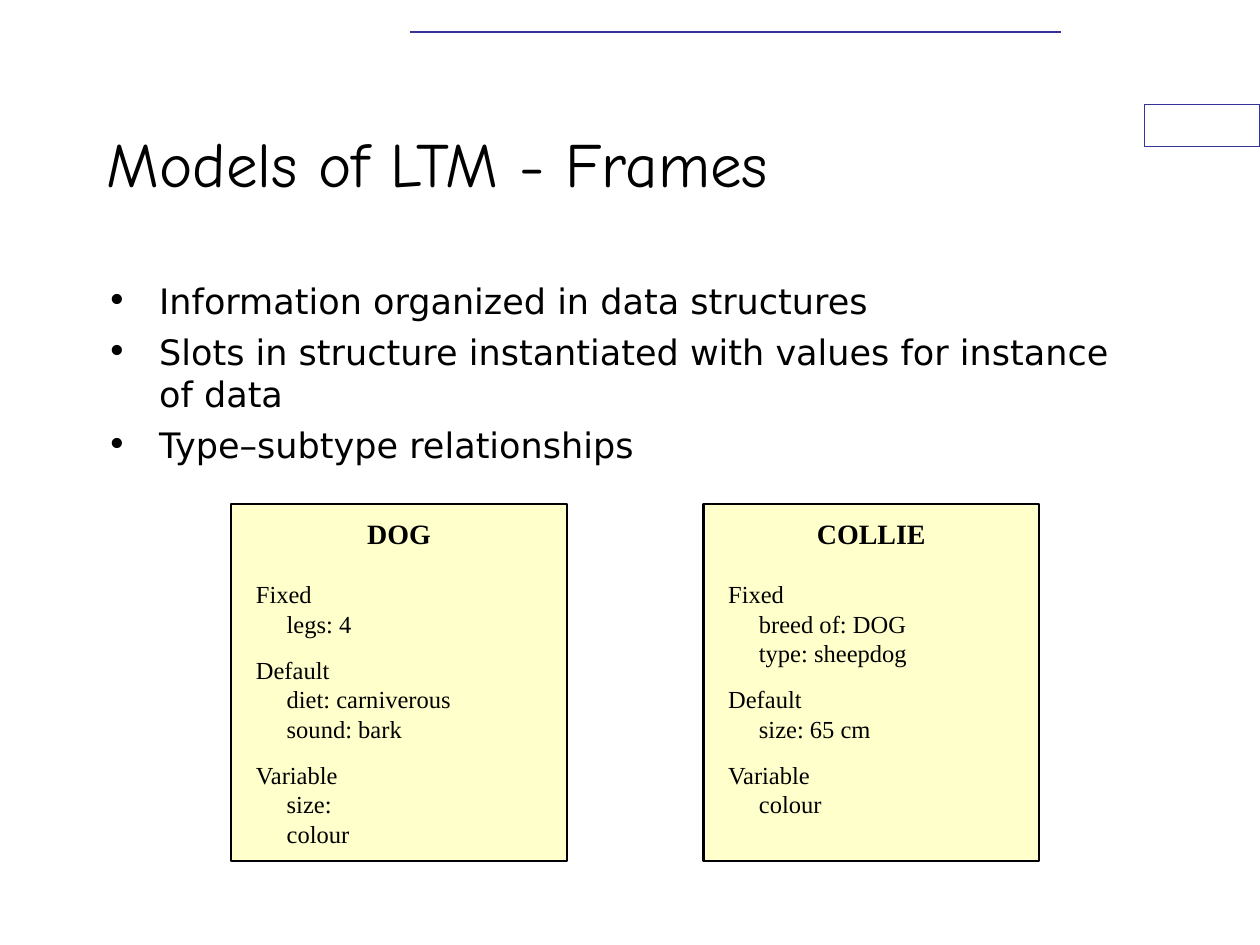
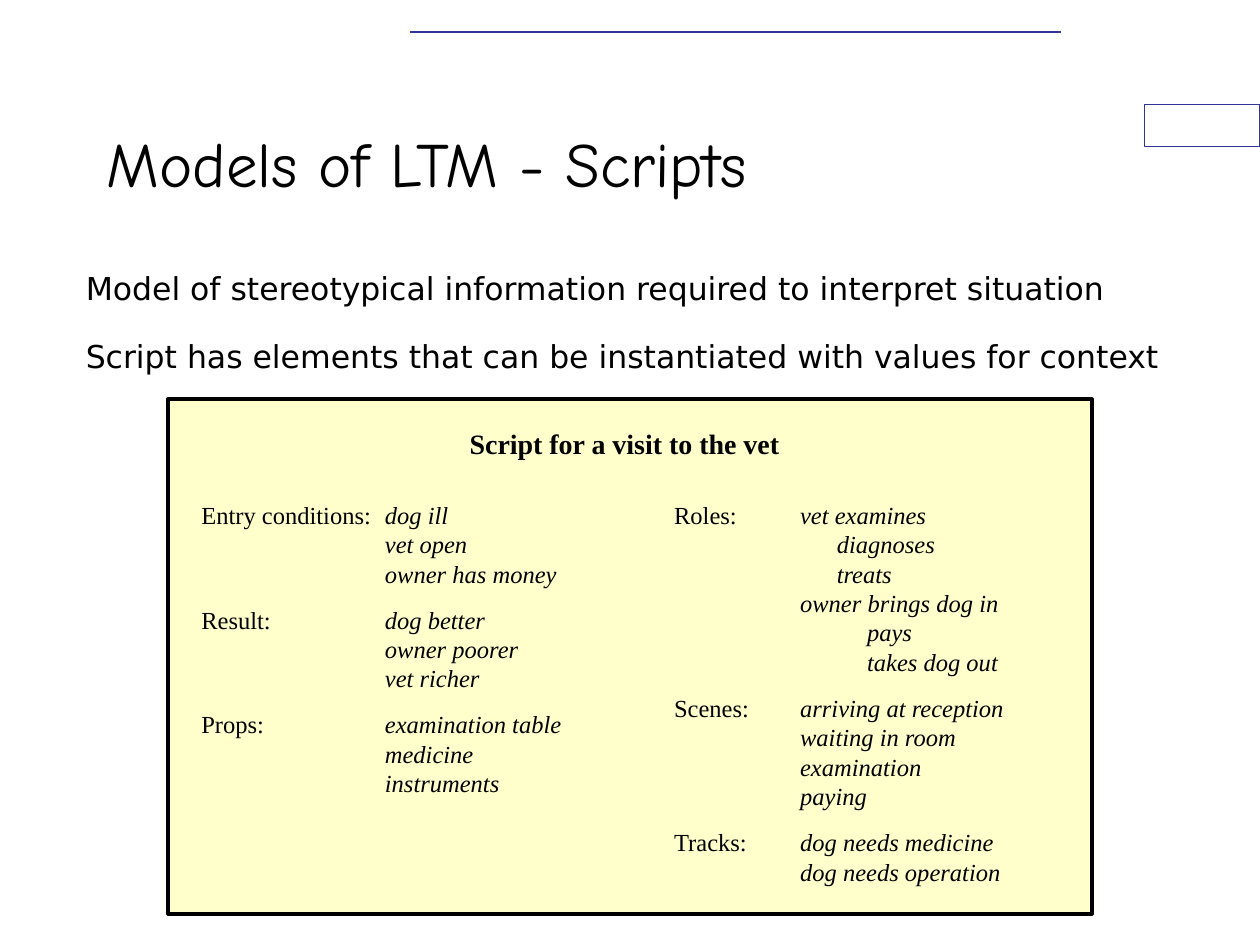
from dataclasses import dataclass

from lxml.etree import SubElement
from pptx import Presentation
from pptx.dml.color import RGBColor
from pptx.enum.shapes import MSO_CONNECTOR, MSO_SHAPE
from pptx.enum.text import MSO_ANCHOR, PP_ALIGN
from pptx.oxml.ns import qn
from pptx.shapes.autoshape import Shape
from pptx.slide import Slide
from pptx.util import Cm, Pt


@dataclass(frozen=True)
class Theme:
    ink: RGBColor = RGBColor(0, 0, 0)
    paper: RGBColor = RGBColor(255, 255, 255)
    accent: RGBColor = RGBColor(0x33, 0x33, 0x99)
    cream: RGBColor = RGBColor(0xFF, 0xFF, 0xCC)
    title_font: str = "Comic Neue"
    body_font: str = "DejaVu Sans"
    panel_font: str = "Times New Roman"
    title_size: float = 36
    bullet_size: float = 20
    statement_size: float = 18
    heading_size: float = 16
    detail_size: float = 14
    detail_pitch: float = 16.8
    group_gap: float = 9.5


THEME = Theme()


@dataclass(frozen=True)
class Area:
    left: float
    top: float
    width: float
    height: float

    def lengths(self) -> tuple[Cm, Cm, Cm, Cm]:
        return Cm(self.left), Cm(self.top), Cm(self.width), Cm(self.height)


@dataclass(frozen=True)
class Line:
    text: str
    size: float = THEME.detail_size
    font: str = THEME.panel_font
    indent: float = 0
    hanging: float = 0
    before: float = 0
    bold: bool = False
    italic: bool = False
    centered: bool = False
    bullet: str = ""


@dataclass(frozen=True)
class Group:
    label: str
    entries: tuple[str, ...]


@dataclass(frozen=True)
class FrameCard:
    left: float
    heading: str
    groups: tuple[Group, ...]


@dataclass(frozen=True)
class ScriptColumn:
    area: Area
    entry_indent: float
    groups: tuple[Group, ...]


TITLE_AREA = Area(1.9, 1.69, 19.05, 3.18)
CORNER_AREA = Area(23.07, 2.11, 2.33, 0.85)
CARD_TOP, CARD_WIDTH, CARD_HEIGHT = 10.16, 6.77, 7.2
LABEL_INDENT, SLOT_INDENT = 0.25, 0.87
HANGING = 1.06

BULLETS = (
    "Information organized in data structures",
    "Slots in structure instantiated with values for instance of data",
    "Type–subtype relationships",
)
CARDS = (
    FrameCard(4.66, "DOG", (
        Group("Fixed", ("legs: 4",)),
        Group("Default", ("diet: carniverous", "sound: bark")),
        Group("Variable", ("size:", "colour")),
    )),
    FrameCard(14.18, "COLLIE", (
        Group("Fixed", ("breed of: DOG", "type: sheepdog")),
        Group("Default", ("size: 65 cm",)),
        Group("Variable", ("colour",)),
    )),
)
STATEMENTS = (
    ("Model of stereotypical information required to interpret situation", 4.5),
    ("Script has elements that can be instantiated with values for context", 17.5),
)
COLUMNS = (
    ScriptColumn(Area(3.81, 9.95, 8.26, 6.27), 3.7, (
        Group("Entry conditions:", ("dog ill", "vet open", "owner has money")),
        Group("Result:", ("dog better", "owner poorer", "vet richer")),
        Group("Props:", ("examination table", "medicine", "instruments")),
    )),
    ScriptColumn(Area(13.34, 9.95, 7.16, 8.05), 2.54, (
        Group("Roles:", ("vet examines", "diagnoses", "treats",
                         "owner brings dog in", "pays", "takes dog out")),
        Group("Scenes:", ("arriving at reception", "waiting in room",
                          "examination", "paying")),
        Group("Tracks:", ("dog needs medicine", "dog needs operation")),
    )),
)
ACTION_INDENTS = {"diagnoses": 0.74, "treats": 0.74, "pays": 1.35, "takes dog out": 1.35}


def write(shape: Shape, lines: list[Line], anchor: MSO_ANCHOR = MSO_ANCHOR.TOP) -> None:
    frame = shape.text_frame
    frame.word_wrap = True
    frame.vertical_anchor = anchor
    for number, line in enumerate(lines):
        paragraph = frame.paragraphs[0] if number == 0 else frame.add_paragraph()
        paragraph.text = line.text
        paragraph.alignment = PP_ALIGN.CENTER if line.centered else PP_ALIGN.LEFT
        paragraph.space_before = Pt(line.before)
        for run in paragraph.runs:
            run.font.name = line.font
            run.font.size = Pt(line.size)
            run.font.color.rgb = THEME.ink
            run.font.bold = line.bold
            run.font.italic = line.italic
        properties = paragraph._p.get_or_add_pPr()
        properties.set("marL", str(Cm(line.indent)))
        properties.set("indent", str(Cm(-line.hanging)))
        if line.bullet:
            SubElement(properties, qn("a:buFont"), typeface=line.font)
            SubElement(properties, qn("a:buChar"), char=line.bullet)


def add_panel(slide: Slide, area: Area, fill: RGBColor = THEME.cream,
              border: RGBColor = THEME.ink, weight: float = 0) -> Shape:
    panel = slide.shapes.add_shape(MSO_SHAPE.RECTANGLE, *area.lengths())
    panel.shadow.inherit = False
    panel.fill.solid()
    panel.fill.fore_color.rgb = fill
    if weight:
        panel.line.color.rgb = border
        panel.line.width = Pt(weight)
    else:
        panel.line.fill.background()
    return panel


def add_text(slide: Slide, area: Area, lines: list[Line],
             anchor: MSO_ANCHOR = MSO_ANCHOR.TOP) -> None:
    write(slide.shapes.add_textbox(*area.lengths()), lines, anchor)


def add_titled_slide(deck: Presentation, title: str) -> Slide:
    slide = deck.slides.add_slide(deck.slide_layouts[6])
    add_panel(slide, CORNER_AREA, THEME.paper, THEME.accent, 0.75)
    top_rule = slide.shapes.add_connector(
        MSO_CONNECTOR.STRAIGHT, Cm(8.26), Cm(0.64), Cm(21.38), Cm(0.64))
    top_rule.line.color.rgb = THEME.accent
    top_rule.line.width = Pt(1)
    SubElement(top_rule._element.spPr, qn("a:effectLst"))
    add_text(slide, TITLE_AREA, [Line(title, THEME.title_size, THEME.title_font)],
             MSO_ANCHOR.MIDDLE)
    return slide


def add_card(slide: Slide, card: FrameCard) -> None:
    lines = [Line(card.heading, THEME.heading_size, bold=True, centered=True)]
    for number, group in enumerate(card.groups):
        gap = THEME.group_gap if number else THEME.detail_pitch
        lines.append(Line(group.label, indent=LABEL_INDENT, before=gap))
        lines += [Line(slot, indent=SLOT_INDENT) for slot in group.entries]
    panel = add_panel(slide, Area(card.left, CARD_TOP, CARD_WIDTH, CARD_HEIGHT), weight=1.5)
    panel.text_frame.margin_top = Cm(0.25)
    write(panel, lines)


def add_column(slide: Slide, column: ScriptColumn) -> None:
    labels, entries = [], []
    gap = label_gap = 0
    for group in column.groups:
        labels.append(Line(group.label, before=label_gap))
        for number, entry in enumerate(group.entries):
            entries.append(Line(
                entry, indent=column.entry_indent + ACTION_INDENTS.get(entry, 0),
                before=0 if number else gap, italic=True))
        gap = THEME.group_gap
        label_gap = gap + (len(group.entries) - 1) * THEME.detail_pitch
    area = column.area
    write(add_panel(slide, area), entries)
    add_text(slide, Area(area.left, area.top, column.entry_indent + 0.5, area.height), labels)


def build_frames(deck: Presentation) -> None:
    slide = add_titled_slide(deck, "Models of LTM - Frames")
    add_text(slide, Area(1.9, 5.51, 21.59, 4.45), [
        Line(point, THEME.bullet_size, THEME.body_font, indent=HANGING,
             hanging=HANGING, before=5, bullet="•")
        for point in BULLETS])
    for card in CARDS:
        add_card(slide, card)


def build_scripts(deck: Presentation) -> None:
    slide = add_titled_slide(deck, "Models of LTM - Scripts")
    add_text(slide, Area(1.48, 5.29, 22.44, 2.96), [
        Line(statement, THEME.statement_size, THEME.body_font, indent=HANGING,
             hanging=HANGING, before=gap)
        for statement, gap in STATEMENTS])
    add_panel(slide, Area(3.39, 8.05, 18.62, 10.37), weight=2.25)
    write(add_panel(slide, Area(9.1, 8.47, 6.98, 0.93)), [
        Line("Script for a visit to the vet", THEME.heading_size,
             before=10, bold=True, centered=True)])
    for column in COLUMNS:
        add_column(slide, column)


def main() -> None:
    deck = Presentation()
    deck.slide_width, deck.slide_height = Cm(25.4), Cm(19.05)
    build_frames(deck)
    build_scripts(deck)
    deck.save("out.pptx")


if __name__ == "__main__":
    main()
